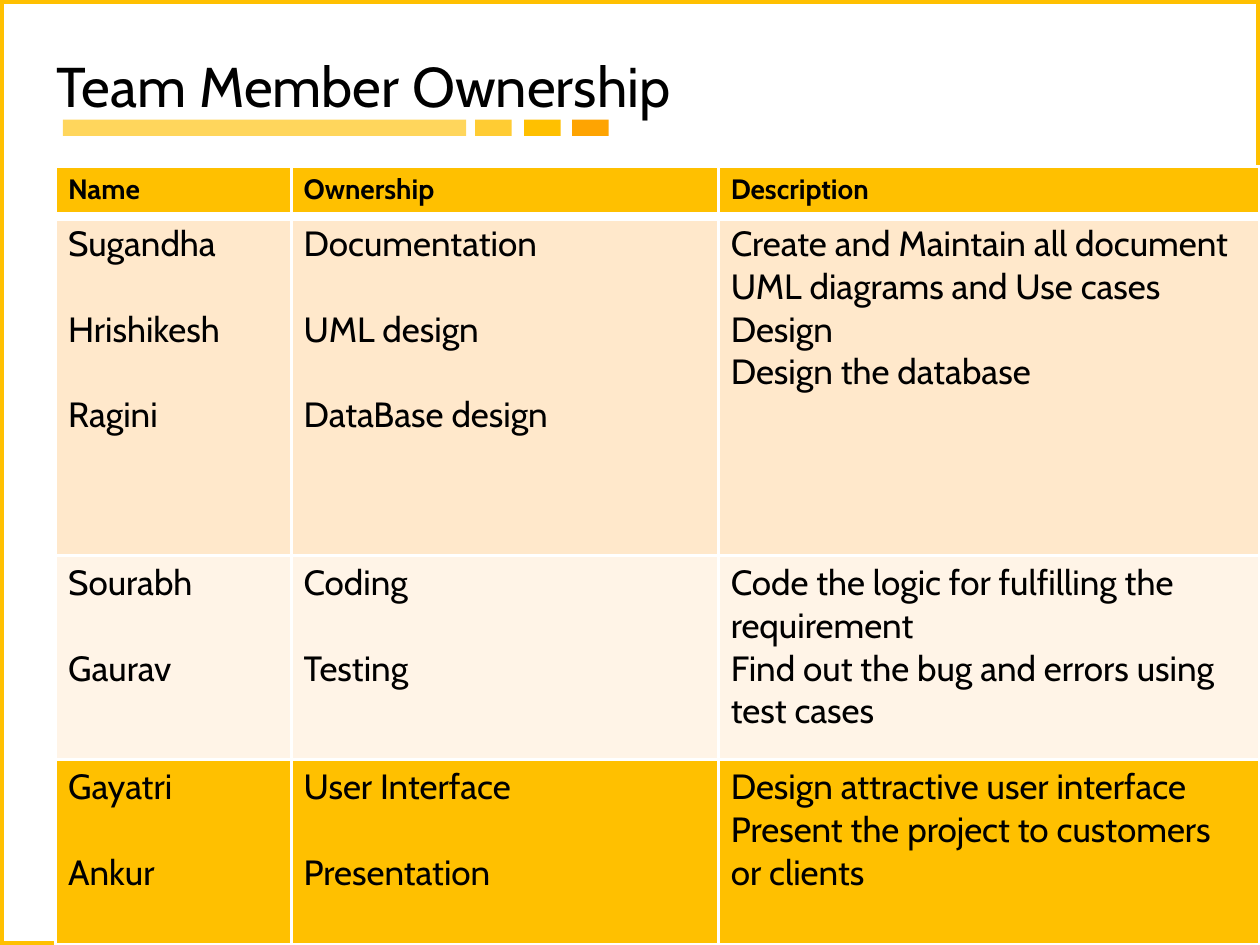
from lxml.etree import SubElement
from pptx import Presentation
from pptx.dml.color import RGBColor
from pptx.enum.shapes import MSO_SHAPE as Preset
from pptx.enum.text import MSO_ANCHOR as Anchor
from pptx.oxml import parse_xml
from pptx.oxml.ns import nsdecls, qn
from pptx.util import Inches, Pt

FONT = "Cabin"
BLACK = RGBColor(0x00, 0x00, 0x00)
WHITE = RGBColor(0xFF, 0xFF, 0xFF)
AMBER = RGBColor(0xFF, 0xC0, 0x00)
ORANGE = RGBColor(0xFE, 0xA4, 0x02)
PEACH = RGBColor(0xFF, 0xE8, 0xCB)
CREAM = RGBColor(0xFF, 0xF4, 0xE7)

THIN, THICK = 1.98, 6
ENTRY_GAP = 24.4
COLUMN_WIDTHS = (1.87, 3.39, 4.3)
HEADINGS = (["Name"], ["Ownership"], ["Description"])
DESIGN_TEAM = (
    ["Sugandha", "Hrishikesh", "Ragini"],
    ["Documentation", "UML design", "DataBase design"],
    ["Create and Maintain all document", "UML diagrams and Use cases",
     "Design", "Design the database"],
)
BUILD_TEAM = (
    ["Sourabh", "Gaurav"],
    ["Coding", "Testing"],
    ["Code the logic for fulfilling the requirement",
     "Find out the bug and errors using test cases"],
)
DELIVERY_TEAM = (
    ["Gayatri", "Ankur"],
    ["User Interface", "Presentation"],
    ["Design attractive user interface",
     "Present the project to customers or clients"],
)
ROWS = (
    (HEADINGS, 0.4, AMBER, THIN, THICK),
    (DESIGN_TEAM, 2.69, PEACH, THICK, THIN),
    (BUILD_TEAM, 1.62, CREAM, THIN, THIN),
    (DELIVERY_TEAM, 1.47, AMBER, THIN, THIN),
)
UNDERLINE_BARS = (
    (0.5, 3.2, AMBER, 64),
    (3.77, 0.29, AMBER, 80),
    (4.16, 0.29, AMBER, 100),
    (4.54, 0.29, ORANGE, 100),
)


def add_bar(slide, left, width, color, opacity):
    shape = slide.shapes.add_shape(
        Preset.RECTANGLE, Inches(left), Inches(0.95), Inches(width), Inches(0.13))
    shape.shadow.inherit = False
    shape.line.fill.background()
    shape.fill.solid()
    shape.fill.fore_color.rgb = color
    if opacity < 100:
        color_element = shape.fill._xPr.find(qn("a:solidFill"))[0]
        SubElement(color_element, qn("a:alpha"), val=str(opacity * 1000))


def add_frame(slide):
    shape = slide.shapes.add_shape(
        Preset.RECTANGLE, 0, 0, Inches(10), Inches(7.5))
    shape.shadow.inherit = False
    shape.fill.background()
    shape.line.color.rgb = AMBER
    shape.line.width = Pt(4.5)


def write_lines(text_frame, lines, size=20, bold=False, gap=0):
    text_frame.word_wrap = True
    for index, line in enumerate(lines):
        paragraph = text_frame.paragraphs[0] if index == 0 else text_frame.add_paragraph()
        if index and gap:
            paragraph.space_before = Pt(gap)
        run = paragraph.add_run()
        run.text = line
        run.font.name = FONT
        run.font.size = Pt(size)
        run.font.bold = bold
        run.font.color.rgb = BLACK


def set_borders(cell, top, bottom):
    properties = cell._tc.get_or_add_tcPr()
    widths = {"lnL": THIN, "lnR": THIN, "lnT": top, "lnB": bottom}
    for position, (side, width) in enumerate(widths.items()):
        properties.insert(position, parse_xml(
            f'<a:{side} {nsdecls("a")} w="{Pt(width)}"><a:solidFill>'
            f'<a:srgbClr val="{WHITE}"/></a:solidFill></a:{side}>'))


def add_ownership_table(slide):
    height = sum(row[1] for row in ROWS)
    table = slide.shapes.add_table(
        len(ROWS), len(COLUMN_WIDTHS), Inches(0.44), Inches(1.32),
        Inches(sum(COLUMN_WIDTHS)), Inches(height)).table
    for column, width in zip(table.columns, COLUMN_WIDTHS):
        column.width = Inches(width)
    for row, (contents, row_height, color, top, bottom) in zip(table.rows, ROWS):
        row.height = Inches(row_height)
        header = contents is HEADINGS
        for index, (cell, lines) in enumerate(zip(row.cells, contents)):
            cell.fill.solid()
            cell.fill.fore_color.rgb = color
            set_borders(cell, top, bottom)
            write_lines(cell.text_frame, lines, size=16 if header else 20,
                        bold=header, gap=ENTRY_GAP if index < 2 else 0)


def add_title(slide, text):
    box = slide.shapes.add_textbox(
        Inches(0.35), Inches(0.25), Inches(9.15), Inches(0.85))
    box.text_frame.vertical_anchor = Anchor.MIDDLE
    write_lines(box.text_frame, [text], size=32)


def main():
    presentation = Presentation()
    presentation.slide_width = Inches(10)
    presentation.slide_height = Inches(7.5)
    slide = presentation.slides.add_slide(presentation.slide_layouts[6])
    for bar in UNDERLINE_BARS:
        add_bar(slide, *bar)
    add_frame(slide)
    add_ownership_table(slide)
    add_title(slide, "Team Member Ownership")
    presentation.save("out.pptx")


if __name__ == "__main__":
    main()
